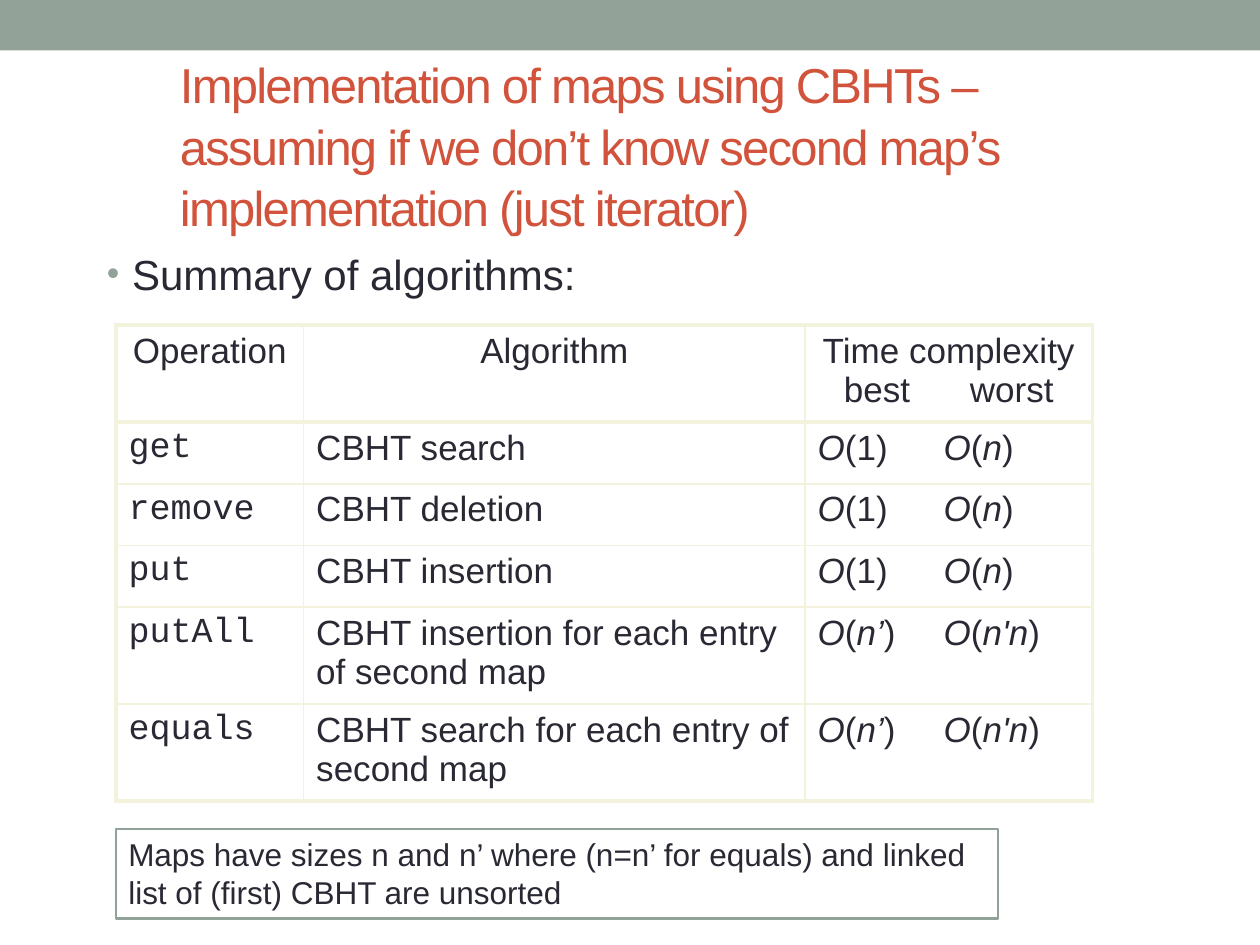
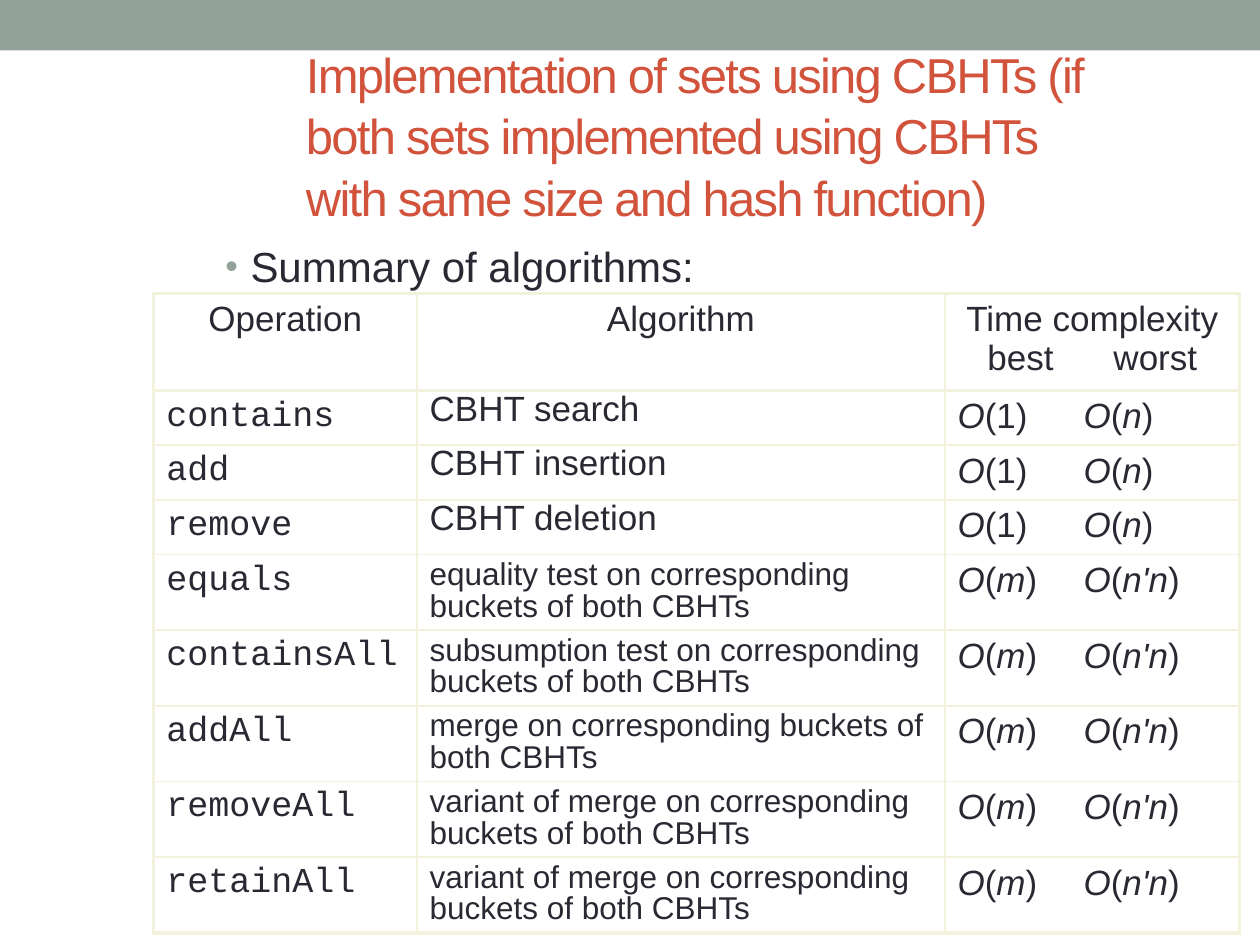
import itertools
from dataclasses import dataclass

import pptx
import pptx.dml.color
import pptx.enum.shapes
import pptx.enum.text
import pptx.oxml
import pptx.oxml.ns
import pptx.util

Inches = pptx.util.Inches
Pt = pptx.util.Pt
RGB = pptx.dml.color.RGBColor.from_string


@dataclass(frozen=True)
class Theme:
    sage: str = "93A299"
    rust: str = "D2533C"
    ink: str = "292934"
    cream: str = "F3F2DC"
    white: str = "FFFFFF"
    sans: str = "Arial"
    mono: str = "Courier New"
    title_size: int = 28
    body_size: int = 24
    table_size: int = 20
    small_size: int = 18
    thick: float = 2.25
    thin: float = 1


theme = Theme()


def style_runs(paragraph, size, color=theme.ink, face=theme.sans):
    for run in paragraph.runs:
        run.font.size = Pt(size)
        run.font.name = face
        run.font.color.rgb = RGB(color)


def add_xml(parent, xml):
    declared = xml.replace(" ", f" {pptx.oxml.ns.nsdecls('a')} ", 1)
    element = pptx.oxml.parse_xml(declared)
    parent.append(element)
    return element


# Content: (operation, algorithm, best time, worst time)
topics = [
    {
        "title": "Implementation of maps using CBHTs – assuming if we don’t know "
                 "second map’s implementation (just iterator)",
        "title_at": (1.33, 0.75, 6.72, 0.79),
        "summary_at": (0.75, 1.92, 7.88, 5.05),
        "table_at": (0.92, 2.58),
        "columns": (1.49, 3.98, 2.28),
        "rows": [0.77] + [0.49] * 3 + [0.77] * 2,
        "compact": False,
        "operations": [
            ("get", "CBHT search", "O(1)", "O(n)"),
            ("remove", "CBHT deletion", "O(1)", "O(n)"),
            ("put", "CBHT insertion", "O(1)", "O(n)"),
            ("putAll", "CBHT insertion for each entry of second map", "O(n’)", "O(n'n)"),
            ("equals", "CBHT search for each entry of second map", "O(n’)", "O(n'n)"),
        ],
        "note": "Maps have sizes n and n’ where (n=n’ for equals) and linked list "
                "of (first) CBHT are unsorted",
    },
    {
        "title": "Implementation of sets using CBHTs (if both sets implemented "
                 "using CBHTs with same size and hash function)",
        "title_at": (2.33, 0.67, 6.72, 0.79),
        "summary_at": (1.69, 1.86, 7.84, 5.05),
        "table_at": (1.22, 2.33),
        "columns": (2.09, 4.19, 2.34),
        "rows": [0.77] + [0.43] * 3 + [0.6] * 5,
        "compact": True,
        "operations": [
            ("contains", "CBHT search", "O(1)", "O(n)"),
            ("add", "CBHT insertion", "O(1)", "O(n)"),
            ("remove", "CBHT deletion", "O(1)", "O(n)"),
        ] + [
            (operation, f"{action} corresponding buckets of both CBHTs", "O(m)", "O(n'n)")
            for operation, action in [
                ("equals", "equality test on"),
                ("containsAll", "subsumption test on"),
                ("addAll", "merge on"),
                ("removeAll", "variant of merge on"),
                ("retainAll", "variant of merge on"),
            ]
        ],
        "note": None,
    },
]
headings = ("Operation", "Algorithm", "Time complexity\vbest\tworst")

deck = pptx.Presentation()
deck.slide_width, deck.slide_height = Inches(10), Inches(7.5)

for topic in topics:
    slide = deck.slides.add_slide(deck.slide_layouts[6])

    # Top band
    band = slide.shapes.add_shape(
        pptx.enum.shapes.MSO_SHAPE.RECTANGLE, 0, 0, deck.slide_width, Inches(0.4))
    band.shadow.inherit = False
    band.fill.solid()
    band.fill.fore_color.rgb = RGB(theme.sage)
    band.line.fill.background()

    # Title
    title = slide.shapes.add_textbox(*map(Inches, topic["title_at"])).text_frame
    title.word_wrap = True
    title.vertical_anchor = pptx.enum.text.MSO_ANCHOR.MIDDLE
    title.text = topic["title"]
    title.paragraphs[0].line_spacing = 1.04
    style_runs(title.paragraphs[0], theme.title_size, theme.rust)
    title.paragraphs[0].runs[0].font._element.set("spc", "-100")

    # Summary bullet
    summary = slide.shapes.add_textbox(*map(Inches, topic["summary_at"])).text_frame
    summary.word_wrap = True
    summary.text = "Summary of algorithms:"
    bullet = summary.paragraphs[0]._p.get_or_add_pPr()
    bullet.set("marL", str(Inches(0.2)))
    bullet.set("indent", str(Inches(-0.2)))
    add_xml(bullet, f'<a:buClr ><a:srgbClr val="{theme.sage}"/></a:buClr>')
    add_xml(bullet, '<a:buSzPct val="85000"/>')
    add_xml(bullet, f'<a:buFont typeface="{theme.sans}"/>')
    add_xml(bullet, '<a:buChar char="•"/>')
    style_runs(summary.paragraphs[0], theme.body_size)

    # Table of operations
    widths, heights = topic["columns"], topic["rows"]
    table = slide.shapes.add_table(
        len(heights), len(widths), *map(Inches, topic["table_at"]),
        Inches(sum(widths)), Inches(sum(heights))).table
    table.first_row = table.horz_banding = False
    for column, width in zip(table.columns, widths):
        column.width = Inches(width)
    for row, height in zip(table.rows, heights):
        row.height = Inches(height)

    entries = [headings] + [
        (operation, algorithm, f"{best}\t{worst}")
        for operation, algorithm, best, worst in topic["operations"]]
    last_row, last_column = len(heights) - 1, len(widths) - 1
    for r, entry in enumerate(entries):
        for c, wording in enumerate(entry):
            cell = table.cell(r, c)
            paragraph = cell.text_frame.paragraphs[0]
            size, face = theme.table_size, theme.sans

            # Best and worst times line up on one tab stop
            if c == last_column:
                add_xml(paragraph._p.get_or_add_pPr(),
                        f'<a:tabLst ><a:tab pos="{Inches(1)}" algn="l"/></a:tabLst>')
            if r > 0 and c == last_column:
                for italic, letters in itertools.groupby(wording, lambda ch: ch in "Omn’'"):
                    run = paragraph.add_run()
                    run.text = "".join(letters)
                    run.font.italic = italic
            else:
                paragraph.text = wording

            if r == 0:
                paragraph.alignment = pptx.enum.text.PP_ALIGN.CENTER
            elif c == 0:
                face = theme.mono
            elif c == 1 and topic["compact"]:
                paragraph.line_spacing = Pt(18)
                if "buckets" in wording:
                    size = theme.small_size
            style_runs(paragraph, size, face=face)

            # Thick outer frame and header rule, thin inner lines
            thick_sides = {
                "L": c == 0,
                "R": c == last_column,
                "T": r <= 1,
                "B": r in (0, last_row),
            }
            borders = cell._tc.get_or_add_tcPr()
            for side, is_thick in thick_sides.items():
                weight = Pt(theme.thick if is_thick else theme.thin)
                add_xml(borders, f'<a:ln{side} w="{weight}"><a:solidFill>'
                                 f'<a:srgbClr val="{theme.cream}"/></a:solidFill></a:ln{side}>')
            cell.fill.solid()
            cell.fill.fore_color.rgb = RGB(theme.white)

    # Boxed note on sizes
    if topic["note"]:
        note = slide.shapes.add_shape(
            pptx.enum.shapes.MSO_SHAPE.RECTANGLE,
            Inches(0.92), Inches(6.58), Inches(7), Inches(0.71))
        note.shadow.inherit = False
        note.fill.background()
        note.line.color.rgb = RGB(theme.sage)
        note.line.width = Pt(1.5)
        note.text_frame.word_wrap = True
        note.text_frame.vertical_anchor = pptx.enum.text.MSO_ANCHOR.TOP
        note.text_frame.text = topic["note"]
        note.text_frame.paragraphs[0].alignment = pptx.enum.text.PP_ALIGN.LEFT
        style_runs(note.text_frame.paragraphs[0], theme.small_size)

deck.save("out.pptx")
